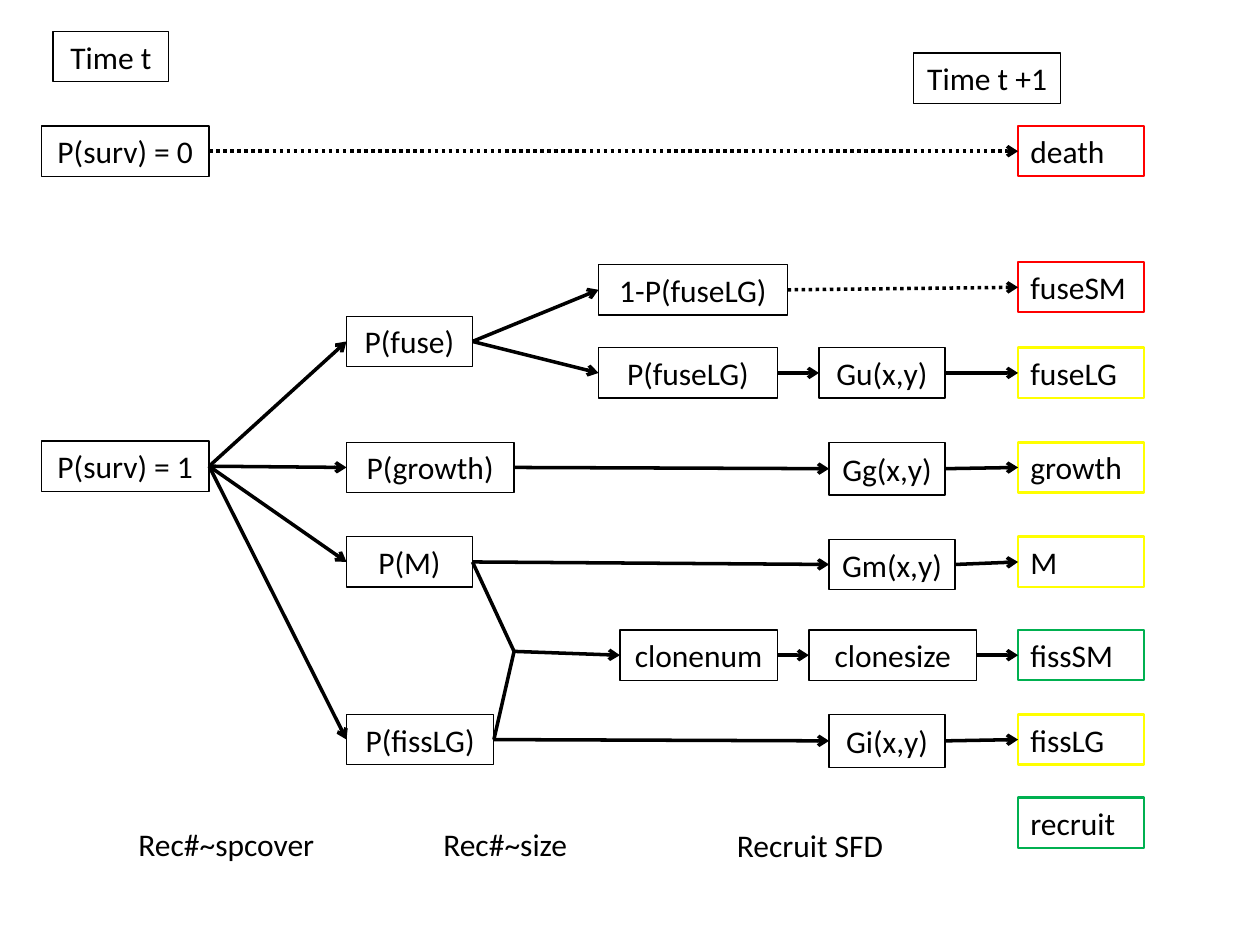
from pptx import Presentation
from pptx.dml.color import RGBColor
from pptx.enum.dml import MSO_LINE
from pptx.enum.shapes import MSO_CONNECTOR, MSO_SHAPE
from pptx.enum.text import PP_ALIGN
from pptx.oxml.ns import qn
from pptx.util import Inches, Pt
from lxml import etree

RECT = MSO_SHAPE.RECTANGLE
STRAIGHT = MSO_CONNECTOR.STRAIGHT
DOT = MSO_LINE.ROUND_DOT
LEFT, MID = PP_ALIGN.LEFT, PP_ALIGN.CENTER
LEFT_SIDE, RIGHT_SIDE = 1, 3
HIGH = 0.4
COLORS = {"ink": "000000", "lost": "FF0000", "kept": "FFFF00", "new": "00B050"}


def color(name):
    return RGBColor.from_string(COLORS[name])


def write(shape, text, align):
    frame = shape.text_frame
    frame.text = text
    frame.word_wrap = align == LEFT
    line = frame.paragraphs[0]
    line.alignment = align
    font = line.runs[0].font
    font.name, font.size = "Calibri", Pt(18)
    font.color.rgb = color("ink")


def add_node(slide, text, x, y, w, h=HIGH, edge="ink", width=0.75, align=MID):
    node = slide.shapes.add_shape(RECT, Inches(x), Inches(y), Inches(w), Inches(h))
    node.shadow.inherit = False
    node.fill.background()
    node.line.color.rgb = color(edge)
    node.line.width = Pt(width)
    write(node, text, align)
    return node


def add_stage(slide, x, y, parts):
    return {text: add_node(slide, text, x + dx, y + dy, *size)
            for text, dx, dy, *size in parts}


def add_fates(slide, x, y, w, fates):
    return {text: add_node(slide, text, x, y + dy, w, edge=edge,
                           width=1.5 if edge == "kept" else 1.25, align=LEFT)
            for text, dy, edge in fates}


def add_notes(slide, x, y, notes):
    for text, dx, dy, w in notes:
        note = slide.shapes.add_textbox(
            Inches(x + dx), Inches(y + dy), Inches(w), Inches(HIGH))
        write(note, text, LEFT)


def add_link(slide, start, end, dash=None, head=True):
    ends = [(0, 0) if hasattr(p, "text_frame") else p for p in (start, end)]
    link = slide.shapes.add_connector(
        STRAIGHT, *[Inches(v) for p in ends for v in p])
    if hasattr(start, "text_frame"):
        link.begin_connect(start, RIGHT_SIDE)
    if hasattr(end, "text_frame"):
        link.end_connect(end, LEFT_SIDE)
    link.line.color.rgb = color("ink")
    link.line.width = Pt(2)
    if dash:
        link.line.dash_style = dash
    if head:
        tail = etree.SubElement(link.line._get_or_add_ln(), qn("a:tailEnd"))
        tail.set("type", "arrow")
    etree.SubElement(link._element.spPr, qn("a:effectLst"))


def add_paths(slide, nodes, paths, dash=None):
    for chain in paths:
        for start, end in zip(chain, chain[1:]):
            add_link(slide, nodes[start], nodes[end], dash)


def add_fork(slide, x, y, starts, end):
    for start in starts:
        add_link(slide, start, (x, y), head=False)
    add_link(slide, (x, y), end)


def build(slide):
    add_stage(slide, 0.42, 0.25, [
        ("Time t", 0, 0, 0.92), ("Time t +1", 6.83, 0.17, 1.17)])
    nodes = add_stage(slide, 0.33, 1, [
        ("P(surv) = 0", 0, 0, 1.33), ("P(surv) = 1", 0, 2.5, 1.33)])
    nodes |= add_stage(slide, 2.75, 2.51, [
        ("P(fuse)", 0, 0, 1), ("P(growth)", 0, 1, 1.33),
        ("P(M)", 0, 1.75, 1), ("P(fissLG)", 0, 3.16, 1.17)])
    nodes |= add_stage(slide, 4.75, 2.1, [
        ("1-P(fuseLG)", 0, 0, 1.5), ("P(fuseLG)", 0, 0.66, 1.42),
        ("clonenum", 0.17, 2.9, 1.25)])
    nodes |= add_stage(slide, 6.5, 2.76, [
        ("Gu(x,y)", 0, 0, 1), ("Gg(x,y)", 0.08, 0.75, 0.92, 0.42),
        ("Gm(x,y)", 0.08, 1.52, 1), ("clonesize", -0.08, 2.24, 1.33),
        ("Gi(x,y)", 0.08, 2.91, 0.92, 0.42)])
    nodes |= add_fates(slide, 8.08, 1, 1, [
        ("death", 0, "lost"), ("fuseSM", 1.08, "lost"),
        ("fuseLG", 1.76, "kept"), ("growth", 2.51, "kept"),
        ("M", 3.26, "kept"), ("fissSM", 4, "new"),
        ("fissLG", 4.67, "kept"), ("recruit", 5.33, "new")])
    add_paths(slide, nodes, [
        ("P(surv) = 0", "death"), ("1-P(fuseLG)", "fuseSM")], DOT)
    add_paths(slide, nodes, [
        ("P(surv) = 1", "P(fuse)", "P(fuseLG)", "Gu(x,y)", "fuseLG"),
        ("P(fuse)", "1-P(fuseLG)"),
        ("P(surv) = 1", "P(growth)", "Gg(x,y)", "growth"),
        ("P(surv) = 1", "P(M)", "Gm(x,y)", "M"),
        ("P(surv) = 1", "P(fissLG)", "Gi(x,y)", "fissLG"),
        ("clonenum", "clonesize", "fissSM")])
    add_fork(slide, 4.08, 5.17, [nodes["P(M)"], nodes["P(fissLG)"]],
             nodes["clonenum"])
    add_notes(slide, 1, 6.5, [
        ("Rec#~spcover", 0, 0, 2.08), ("Rec#~size", 2.42, 0, 1.58),
        ("Recruit SFD", 4.75, 0.01, 1.42)])


deck = Presentation()
deck.slide_width, deck.slide_height = Inches(10), Inches(7.5)
build(deck.slides.add_slide(deck.slide_layouts[6]))
deck.save("out.pptx")
